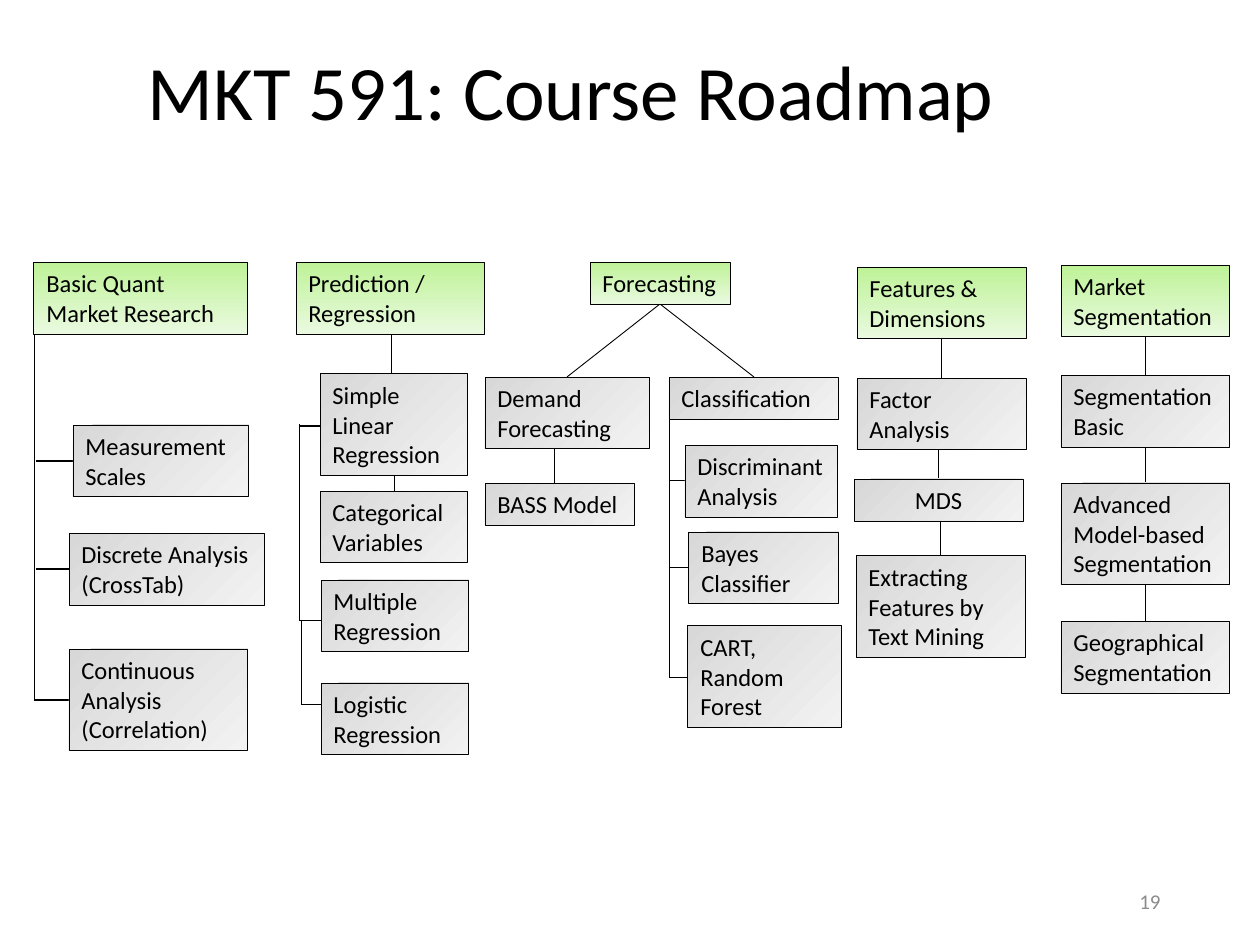
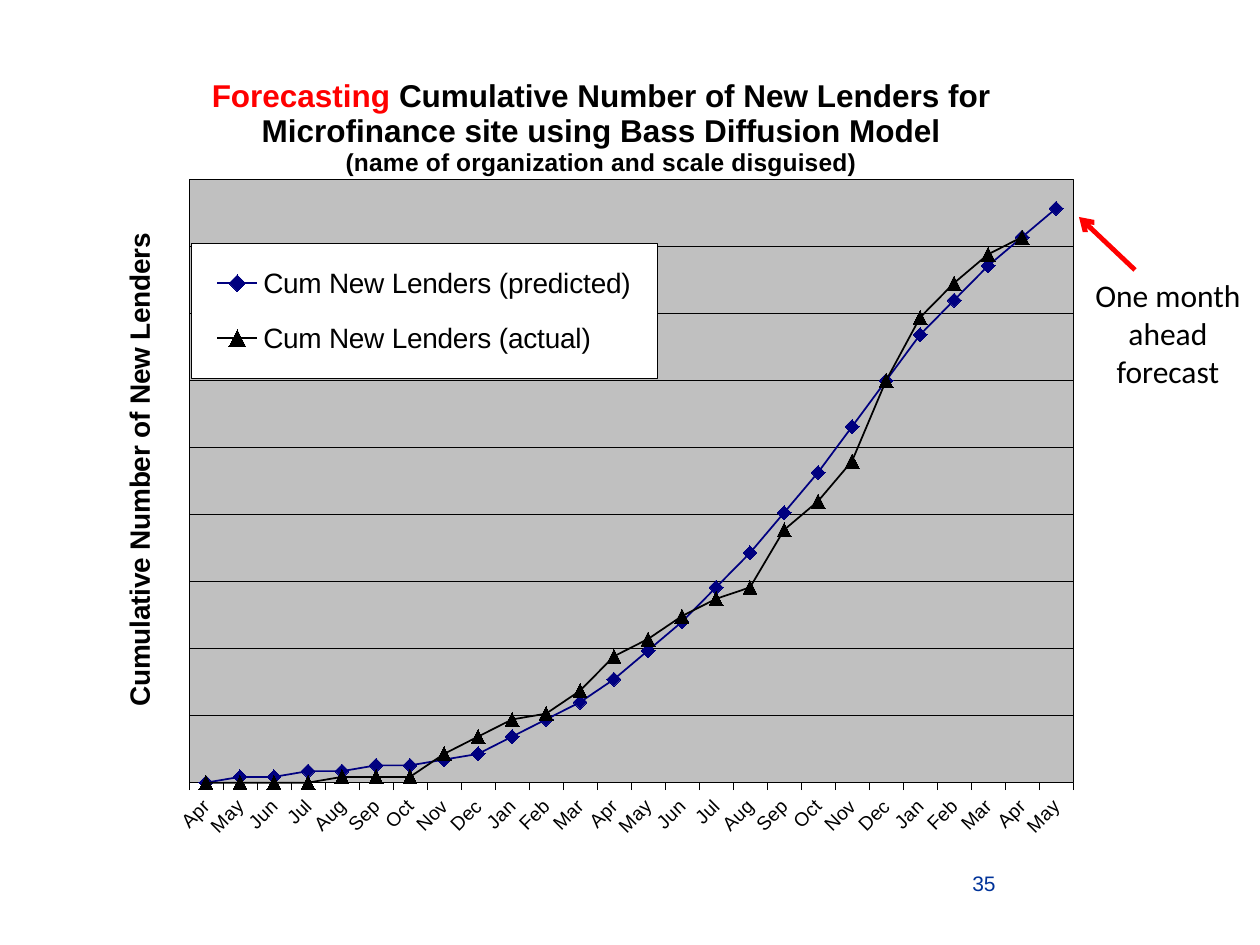
from lxml.etree import SubElement
from pptx import Presentation
from pptx.chart.data import CategoryChartData
from pptx.dml.color import RGBColor
from pptx.enum.chart import (XL_CHART_TYPE as CHART, XL_LEGEND_POSITION as LEGEND,
                             XL_MARKER_STYLE as MARKER, XL_TICK_LABEL_POSITION as LABELS,
                             XL_TICK_MARK as TICK)
from pptx.enum.shapes import MSO_CONNECTOR as CONNECTOR, MSO_SHAPE as SHAPE
from pptx.enum.text import MSO_ANCHOR as ANCHOR, PP_ALIGN as ALIGN
from pptx.oxml import parse_xml
from pptx.oxml.ns import nsdecls, qn
from pptx.util import Inches, Pt

PX = Inches(1) / 126
BLACK, RED, NAVY = "000000", "FF0000", "000080"
GREEN_FADE = ("BEF297", "EAFAE0", 270)
GREY_FADE = ("D8D8D8", "F2F2F2", 315)
MONTHS = "Jan Feb Mar Apr May Jun Jul Aug Sep Oct Nov Dec".split()
PREDICTED = [0, 1, 1, 2, 2, 3, 3, 4, 5, 8, 11, 14, 18, 23, 28, 34, 40, 47, 54,
             62, 70, 78, 84, 90, 95, 100]
ACTUAL = [0, 0, 0, 0, 1, 1, 1, 5, 8, 11, 12, 16, 22, 25, 29, 32, 34, 44, 49,
          56, 70, 81, 87, 92, 95, None]


def px(*lengths):
    return [round(length * PX) for length in lengths]


def rgb(color):
    return RGBColor.from_string(color)


def style_font(font, size, color=BLACK, name="Arial", bold=False):
    font.size, font.name, font.bold = Pt(size), name, bold
    font.color.rgb = rgb(color)


def write(frame, text, size=14, color=BLACK, name="Calibri", align=ALIGN.LEFT,
          anchor=ANCHOR.TOP, spacing=None):
    frame.word_wrap = True
    frame.vertical_anchor = anchor
    paragraph = frame.paragraphs[0]
    paragraph.alignment = align
    paragraph.line_spacing = spacing
    run = paragraph.add_run()
    run.text = text
    style_font(run.font, size, color, name)


def add_text(slide, box, text, **text_format):
    write(slide.shapes.add_textbox(*px(*box)).text_frame, text, **text_format)


def add_line(slide, start, end, width=0.5, color=BLACK, arrow=False):
    line = slide.shapes.add_connector(CONNECTOR.STRAIGHT, *px(*start, *end))
    line.line.color.rgb = rgb(color)
    line.line.width = Pt(width)
    if arrow:
        SubElement(line.line._get_or_add_ln(), qn("a:tailEnd"), type="arrow")
    SubElement(line._element.spPr, qn("a:effectLst"))


def box_height(line_count):
    return 12 + 30 * line_count


def add_box(slide, left, top, width, line_count, text, fade=GREY_FADE, align=ALIGN.LEFT):
    box = slide.shapes.add_shape(SHAPE.RECTANGLE,
                                 *px(left, top, width, box_height(line_count)))
    box.shadow.inherit = False
    box.fill.gradient()
    start, end, box.fill.gradient_angle = fade
    for stop, color in zip(box.fill.gradient_stops, (start, end)):
        stop.color.rgb = rgb(color)
    box.line.color.rgb = rgb(BLACK)
    box.line.width = Pt(0.5)
    write(box.text_frame, text, align=align)


def draw_tree(slide, header, topics, links):
    """Draw a header with its topics and links, placed from the header's corner."""
    left, top = header[:2]
    for x1, y1, x2, y2, *width in links:
        add_line(slide, (left + x1, top + y1), (left + x2, top + y2), *width)
    add_box(slide, *header, fade=GREEN_FADE)
    for dx, dy, *topic in topics:
        add_box(slide, left + dx, top + dy, *topic)


def draw_chain(slide, left, top, header, topics):
    """Draw equally wide boxes, each linked to the one below it."""
    width, bottom = 169, top + box_height(2)
    add_box(slide, left, top, width, 2, header, GREEN_FADE)
    for dx, dy, line_count, text, *align in topics:
        middle = left + dx + width // 2
        add_line(slide, (middle, bottom), (middle, top + dy))
        add_box(slide, left + dx, top + dy, width, line_count, text, GREY_FADE, *align)
        bottom = top + dy + box_height(line_count)


def build_roadmap(deck):
    slide = deck.slides.add_slide(deck.slide_layouts[5])
    title = slide.shapes.title
    title.left, title.top, title.width, title.height = px(135, 4, 916, 183)
    write(title.text_frame, "MKT 591: Course Roadmap", size=44,
          anchor=ANCHOR.MIDDLE, spacing=0.9)

    draw_tree(slide, (34, 262, 214, 2, "Basic Quant Market Research"),
              [(39, 163, 176, 2, "Measurement Scales"),
               (35, 271, 195, 2, "Discrete Analysis (CrossTab)"),
               (35, 387, 179, 3, "Continuous Analysis (Correlation)")],
              [(0, 72, 0, 438), (2, 199, 39, 199, 1.5), (2, 307, 35, 307, 1.5),
               (0, 438, 35, 438, 1.5)])
    draw_tree(slide, (296, 262, 189, 2, "Prediction / Regression"),
              [(24, 112, 148, 3, "Simple Linear Regression"),
               (24, 229, 148, 2, "Categorical Variables"),
               (25, 318, 148, 2, "Multiple Regression"),
               (25, 421, 148, 2, "Logistic Regression")],
              [(95, 72, 95, 112), (98, 213, 98, 229), (3, 162, 3, 358),
               (3, 164, 24, 164, 1.5), (3, 358, 25, 358), (5, 358, 5, 442),
               (5, 442, 25, 442)])
    draw_tree(slide, (590, 262, 141, 1, "Forecasting"),
              [(-105, 115, 165, 2, "Demand Forecasting"),
               (-105, 221, 150, 1, "BASS Model"),
               (79, 115, 169, 1, "Classification"),
               (95, 183, 153, 2, "Discriminant Analysis"),
               (99, 270, 150, 2, "Bayes Classifier"),
               (98, 364, 154, 3, "CART, Random Forest")],
              [(70, 42, -23, 115), (70, 42, 164, 115), (-36, 187, -36, 221),
               (79, 157, 79, 415), (79, 218, 95, 218), (79, 305, 99, 305),
               (79, 415, 99, 415)])
    draw_chain(slide, 857, 267, "Features & Dimensions",
               [(0, 111, 2, "Factor Analysis"),
                (-3, 212, 1, "MDS", ALIGN.CENTER),
                (-1, 289, 3, "Extracting Features by Text Mining")])
    draw_chain(slide, 1061, 265, "Market Segmentation",
               [(0, 110, 2, "Segmentation Basic"),
                (0, 218, 3, "Advanced Model-based Segmentation"),
                (0, 356, 2, "Geographical Segmentation")])
    add_text(slide, (890, 876, 283, 50), "19", size=12, color="8C8C8C",
             align=ALIGN.RIGHT, anchor=ANCHOR.MIDDLE)


def set_layout(part, x, y, width=None, height=None, inner=False):
    """Fix a chart part at fractions of the chart's size."""
    for old in part.findall(qn("c:layout")):
        part.remove(old)
    fields = [("layoutTarget", "inner")] if inner else []
    fields += [("xMode", "edge"), ("yMode", "edge"), ("x", x), ("y", y)]
    if width:
        fields += [("w", width), ("h", height)]
    values = "".join(f'<c:{tag} val="{value}"/>' for tag, value in fields)
    layout = parse_xml(f'<c:layout {nsdecls("c")}><c:manualLayout>{values}'
                       '</c:manualLayout></c:layout>')
    before = part.find(qn("c:tx"))
    if before is None:
        before = part.find(qn("c:legendPos"))
    if before is None:
        part.insert(0, layout)
    else:
        before.addnext(layout)


def add_bold(paragraph, text, size, color=BLACK):
    run = paragraph.add_run()
    run.text = text
    style_font(run.font, size, color, bold=True)


def title_chart(chart):
    frame = chart.chart_title.text_frame
    heading = frame.paragraphs[0]
    add_bold(heading, "Forecasting", 18, RED)
    add_bold(heading, " Cumulative Number of New Lenders for Microfinance site "
                      "using Bass Diffusion Model", 18)
    add_bold(frame.add_paragraph(), "(name of organization and scale disguised)", 14)
    chart.chart_title.include_in_layout = False
    set_layout(chart.chart_title._element, 0.165, 0.01)


def style_axes(chart):
    months, lenders = chart.category_axis, chart.value_axis
    style_font(months.tick_labels.font, 11)
    months._element.txPr.find(qn("a:bodyPr")).set("rot", "-2700000")
    months.major_tick_mark = TICK.OUTSIDE
    lenders.minimum_scale, lenders.maximum_scale, lenders.major_unit = 0, 105, 11.67
    lenders.tick_label_position = LABELS.NONE
    lenders.major_tick_mark = TICK.NONE
    for line in (months.format.line, lenders.format.line, lenders.major_gridlines.format.line):
        line.color.rgb = rgb(BLACK)
        line.width = Pt(0.25)
    frame = lenders.axis_title.text_frame
    add_bold(frame.paragraphs[0], "Cumulative Number of New Lenders", 16)
    frame._txBody.find(qn("a:bodyPr")).set("rot", "-5400000")
    set_layout(lenders.axis_title._element, 0.083, 0.204)


def style_legend(chart):
    chart.has_legend = True
    legend = chart.legend
    legend.position = LEGEND.RIGHT
    legend.include_in_layout = False
    style_font(legend.font, 16)
    set_layout(legend._element, 0.15, 0.223, 0.418, 0.168)
    legend._element.find(qn("c:txPr")).addprevious(parse_xml(
        f'<c:spPr {nsdecls("c", "a")}><a:solidFill><a:srgbClr val="FFFFFF"/></a:solidFill>'
        f'<a:ln w="3175"><a:solidFill><a:srgbClr val="{BLACK}"/></a:solidFill></a:ln></c:spPr>'))


def style_series(series, color, marker):
    series.smooth = False
    series.marker.style, series.marker.size = marker, 8
    series.marker.format.fill.solid()
    series.marker.format.fill.fore_color.rgb = rgb(color)
    for line in (series.format.line, series.marker.format.line):
        line.color.rgb = rgb(color)
    series.format.line.width = Pt(1)


def draw_lender_chart(slide, box):
    data = CategoryChartData(number_format="0")
    data.categories = [MONTHS[(3 + step) % 12] for step in range(len(PREDICTED))]
    data.add_series("Cum New Lenders (predicted)", PREDICTED)
    data.add_series("Cum New Lenders (actual)", ACTUAL)
    chart = slide.shapes.add_chart(CHART.LINE_MARKERS, *px(*box), data).chart
    style_font(chart.font, 11)
    chart.plots[0].vary_by_categories = False
    title_chart(chart)
    style_axes(chart)
    style_legend(chart)
    for series, color, marker in zip(chart.plots[0].series, (NAVY, BLACK),
                                     (MARKER.DIAMOND, MARKER.TRIANGLE)):
        style_series(series, color, marker)
    plot_area = chart._chartSpace.chart.plotArea
    set_layout(plot_area, 0.148, 0.144, 0.793, 0.75, inner=True)
    plot_area.append(parse_xml(
        f'<c:spPr {nsdecls("c", "a")}><a:solidFill><a:srgbClr val="C0C0C0"/></a:solidFill>'
        f'<a:ln w="6350"><a:solidFill><a:srgbClr val="{BLACK}"/></a:solidFill></a:ln></c:spPr>'))


def build_forecast(deck):
    slide = deck.slides.add_slide(deck.slide_layouts[6])
    add_text(slide, (960, 852, 262, 63), "35", size=12, color="003399", name="Arial",
             anchor=ANCHOR.MIDDLE)
    draw_lender_chart(slide, (24, 64, 1115, 804))
    add_text(slide, (1066, 270, 204, 217), "One month ahead forecast", size=18,
             align=ALIGN.CENTER)
    add_line(slide, (1135, 270), (1079, 217), 2.75, RED, arrow=True)


def main():
    deck = Presentation()
    deck.slide_width, deck.slide_height = px(1260, 945)
    build_roadmap(deck)
    build_forecast(deck)
    deck.save("out.pptx")


if __name__ == "__main__":
    main()
